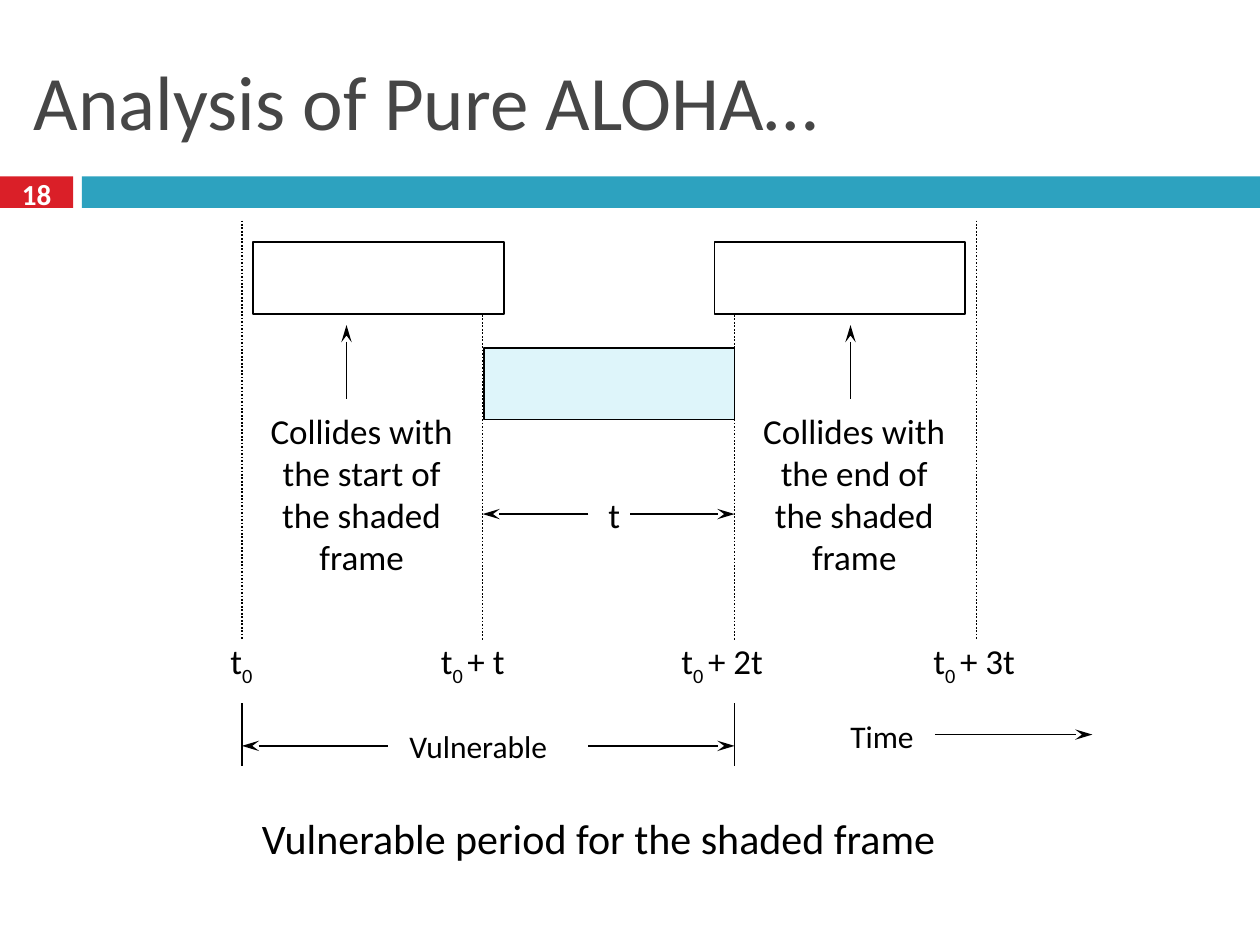
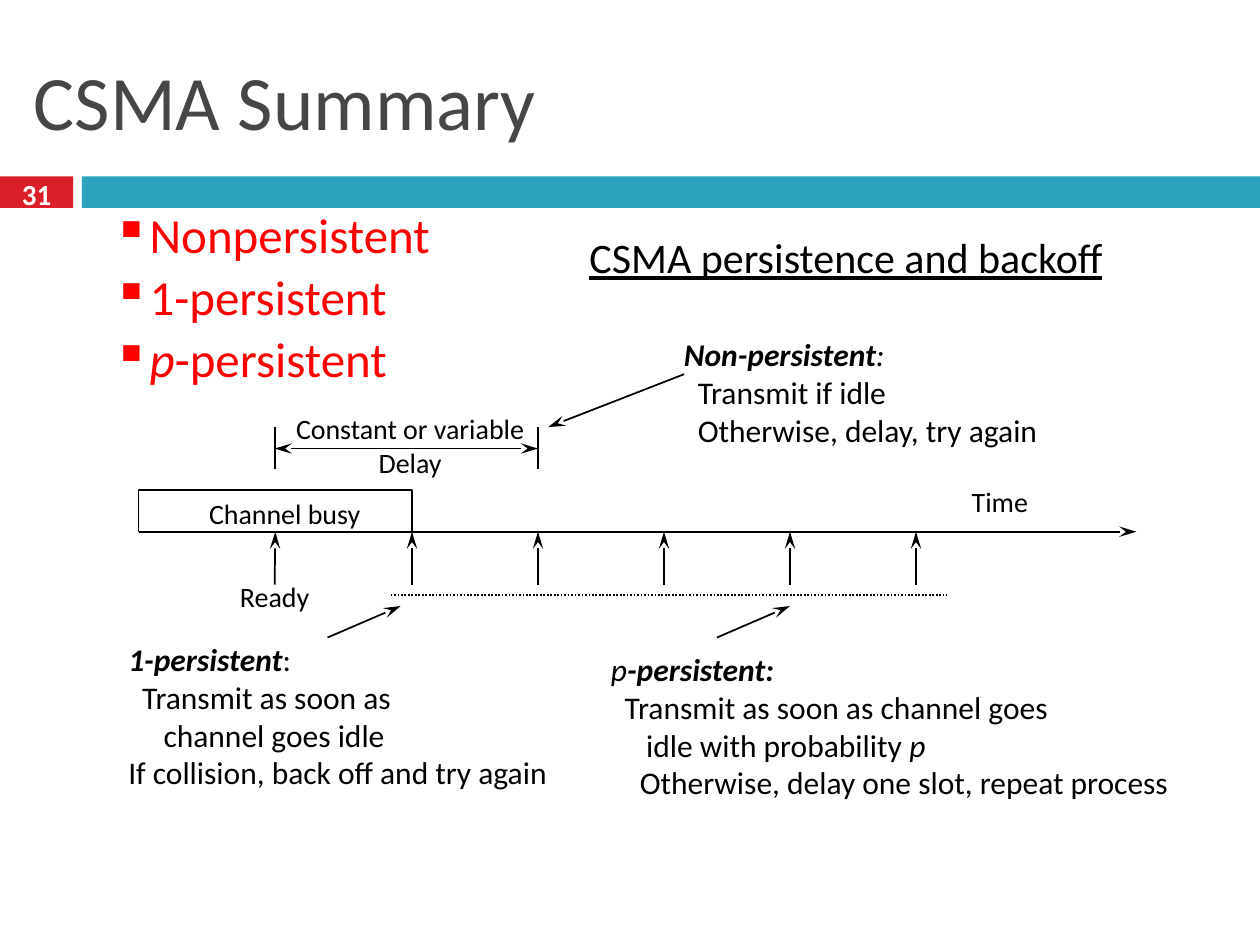
from lxml import etree
from pptx import Presentation
from pptx.dml.color import RGBColor
from pptx.enum.dml import MSO_LINE
from pptx.enum.shapes import MSO_CONNECTOR, MSO_SHAPE
from pptx.enum.text import MSO_ANCHOR, MSO_AUTO_SIZE, PP_ALIGN
from pptx.oxml.ns import qn
from pptx.util import Inches, Pt

FONT = "Calibri"
BLACK, WHITE, RED = "000000", "FFFFFF", "FF0000"
TITLE, BADGE, BAND, SHADE = "464646", "DA1F28", "2DA2BF", "DEF5FA"
CENTER = PP_ALIGN.CENTER


def rgb(color):
    return RGBColor.from_string(color)


def rect(s, x, y, w, h, fill=None, line=None):
    sp = s.shapes.add_shape(MSO_SHAPE.RECTANGLE, Inches(x), Inches(y), Inches(w), Inches(h))
    sp.shadow.inherit = False
    if fill:
        sp.fill.solid()
        sp.fill.fore_color.rgb = rgb(fill)
    else:
        sp.fill.background()
    if line:
        sp.line.color.rgb = rgb(line)
        sp.line.width = Pt(1)
    else:
        sp.line.fill.background()
    return sp


def line(s, x1, y1, x2, y2, ends="", dotted=False):
    cx = s.shapes.add_connector(MSO_CONNECTOR.STRAIGHT, Inches(x1), Inches(y1), Inches(x2), Inches(y2))
    cx.line.color.rgb = rgb(BLACK)
    cx.line.width = Pt(1)
    if dotted:
        cx.line.dash_style = MSO_LINE.ROUND_DOT
    ln = cx.line._get_or_add_ln()
    for end in ends.split():
        etree.SubElement(ln, qn(f"a:{end}End"), type="stealth", w="med", len="lg")
    etree.SubElement(cx._element.spPr, qn("a:effectLst"))
    return cx


def text(s, x, y, w, h, paras, size, color=BLACK, align=PP_ALIGN.LEFT, indents=(), fixed=False):
    sp = s.shapes.add_textbox(Inches(x), Inches(y), Inches(w), Inches(h))
    tf = sp.text_frame
    tf.word_wrap = fixed
    tf.auto_size = MSO_AUTO_SIZE.NONE if fixed else MSO_AUTO_SIZE.SHAPE_TO_FIT_TEXT
    tf.vertical_anchor = MSO_ANCHOR.MIDDLE if fixed else MSO_ANCHOR.TOP
    for i, runs in enumerate(paras):
        p = tf.add_paragraph() if i else tf.paragraphs[0]
        p.alignment = align
        if i < len(indents):
            p._p.get_or_add_pPr().set("marL", str(Inches(indents[i])))
        for run in [runs] if isinstance(runs, str) else runs:
            words, style = (run, "") if isinstance(run, str) else run
            r = p.add_run()
            r.text = words
            r.font.name = FONT
            r.font.size = Pt(size)
            r.font.color.rgb = rgb(color)
            r.font.bold = "b" in style
            r.font.italic = "i" in style
            r.font.underline = "u" in style
            if "s" in style:
                r.font._element.set("baseline", "-25000")
    return tf


def base_slide(prs, title, number):
    s = prs.slides.add_slide(prs.slide_layouts[6])
    rect(s, 0, 1.4, 0.58, 0.25, BADGE)
    rect(s, 0.65, 1.4, 9.35, 0.25, BAND)
    text(s, 0, 1.37, 0.58, 0.33, [[(number, "b")]], 16.6, WHITE, CENTER, fixed=True)
    text(s, 0.17, 0.25, 9.67, 1.08, [title], 44, TITLE, fixed=True)
    return s


def frames(s, x, y):
    for dx, dy, fill in ((0.09, 0.17, WHITE), (3.75, 0.17, WHITE), (1.92, 1.01, SHADE)):
        rect(s, x + dx, y + dy, 1.99, 0.57, fill, BLACK)
    marks = (
        (0, 0, -0.19, 0.38, ""),
        (1.91, 0.75, -0.43, 0.74, "+ t"),
        (3.91, 0.75, -0.52, 0.9, "+ 2t"),
        (5.83, 0, -0.44, 0.9, "+ 3t"),
    )
    for dx, top, shift, w, plus in marks:
        line(s, x + dx, y + top, x + dx, y + 3.33, dotted=True)
        runs = ["t", ("0 ", "s"), plus] if plus else ["t", ("0", "s")]
        text(s, x + dx + shift, y + 3.28, w, 0.43, [runs], 20)
    for arrow, left, part in ((0.83, 0.07, "start"), (4.83, 3.98, "end")):
        line(s, x + arrow, y + 0.83, x + arrow, y + 1.42, "head")
        lines = ["Collides with", f"the {part} of", "the shaded", "frame"]
        text(s, x + left, y + 1.45, 1.76, 1.43, lines, 20, align=CENTER)
    text(s, x + 2.81, y + 2.12, 0.28, 0.43, ["t"], 20)
    line(s, x + 3.08, y + 2.33, x + 3.91, y + 2.33, "tail")
    line(s, x + 2.75, y + 2.33, x + 1.91, y + 2.33, "tail")


def vulnerable_period(s, x, y):
    for dx in (0, 3.91):
        line(s, x + dx, y, x + dx, y + 0.5)
    line(s, x, y + 0.34, x + 1.16, y + 0.34, "head")
    line(s, x + 2.75, y + 0.34, x + 3.91, y + 0.34, "tail")
    text(s, x + 1.23, y + 0.14, 1.4, 0.4, ["Vulnerable"], 18)
    text(s, x + 4.73, y + 0.06, 0.76, 0.4, ["Time"], 18)
    line(s, x + 5.5, y + 0.25, x + 6.75, y + 0.25, "tail")
    text(s, x + 0.06, y + 0.82, 5.98, 0.5, ["Vulnerable period for the shaded frame"], 24)


def timeline(s, x, y):
    busy = rect(s, x, y - 0.33, 2.17, 0.33, line=BLACK)
    line(s, x, y, x + 7.92, y, "tail")
    ready = line(s, x + 1.08, y + 0.42, x + 1.08, y, "tail")
    ready.end_connect(busy, 2)
    for slot in range(5):
        line(s, x + 2.17 + slot, y, x + 2.17 + slot, y + 0.42, "head")
    line(s, x + 2, y + 0.5, x + 6.42, y + 0.5, dotted=True)
    for dx in (1.08, 3.17):
        line(s, x + dx, y - 0.83, x + dx, y - 0.5)
    line(s, x + 1.08, y - 0.66, x + 3.17, y - 0.66, "head tail")
    labels = (
        (1.06, -1, 2.19, 0.64, ["Constant or variable", "Delay"]),
        (0.38, -0.33, 1.56, 0.37, ["Channel busy"]),
        (0.66, 0.33, 0.84, 0.37, ["Ready"]),
        (6.49, -0.42, 0.69, 0.37, ["Time"]),
    )
    for dx, dy, w, h, lines in labels:
        text(s, x + dx, y + dy, w, h, lines, 16, align=CENTER)


def strategy_notes(s, x, y):
    line(s, x + 3.43, y + 0.78, x + 4.51, y + 0.36, "head")
    for dx in (2.26, 5.35):
        line(s, x + dx, y + 2.2, x + dx - 0.58, y + 2.45, "head")
    text(s, x + 4.41, y, 3.3, 1, [
        [("Non-persistent", "bi"), (":", "i")],
        "Transmit if idle",
        "Otherwise, delay, try again",
    ], 18, indents=(0, 0.11, 0.11))
    text(s, x, y + 2.42, 3.83, 1.3, [
        [("1-persistent", "bi"), ":"],
        "Transmit as soon as",
        "channel goes idle",
        "If collision, back off and try again",
    ], 18, indents=(0, 0.11, 0.28, 0))
    text(s, x + 3.83, y + 2.5, 5.08, 1.3, [
        [("p", "i"), ("-persistent:", "bi")],
        "Transmit as soon as channel goes",
        ["idle with probability ", ("p", "i")],
        "Otherwise, delay one slot, repeat process",
    ], 18, indents=(0, 0.11, 0.28, 0.23))


def variants(s, x, y):
    names = ["Nonpersistent", "1-persistent", [("p", "i"), "-persistent"]]
    tf = text(s, x, y, 2.73, 1.55, names, 28, RED, indents=[0.23] * 3)
    for p in tf.paragraphs:
        p.line_spacing = 0.9
        p.space_before = Pt(5)
        pPr = p._p.get_or_add_pPr()
        pPr.set("indent", str(Inches(-0.23)))
        etree.SubElement(pPr, qn("a:buChar"), char="▪")


def aloha_slide(prs):
    s = base_slide(prs, "Analysis of Pure ALOHA…", "18")
    frames(s, 1.92, 1.75)
    vulnerable_period(s, 1.92, 5.58)


def csma_slide(prs):
    s = base_slide(prs, "CSMA Summary", "31")
    timeline(s, 1.1, 4.22)
    strategy_notes(s, 0.92, 2.61)
    text(s, 4.58, 1.79, 4.78, 0.5, [[("CSMA persistence and backoff", "u")]], 24)
    variants(s, 0.8, 1.63)


def main():
    prs = Presentation()
    prs.slide_width, prs.slide_height = Inches(10), Inches(7.5)
    aloha_slide(prs)
    csma_slide(prs)
    prs.save("out.pptx")


if __name__ == "__main__":
    main()
